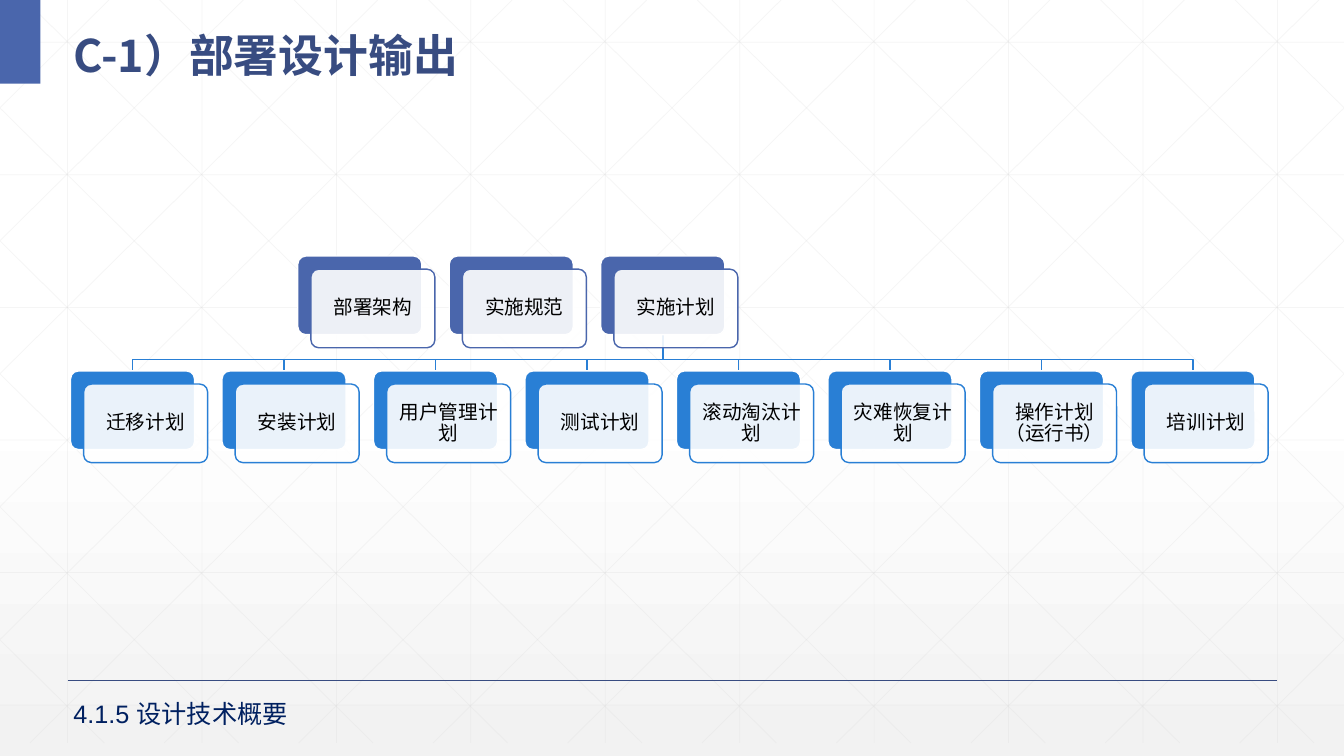
"""Builds the deployment design output slide with its two-tier plan hierarchy."""
from copy import deepcopy
from dataclasses import dataclass

from pptx import Presentation
from pptx.dml.color import RGBColor
from pptx.enum.shapes import MSO_CONNECTOR, MSO_SHAPE
from pptx.enum.text import MSO_ANCHOR, MSO_AUTO_SIZE, PP_ALIGN
from pptx.oxml.ns import qn
from pptx.util import Inches, Pt
from lxml import etree

COLORS = {
    "white": "FFFFFF", "mist": "F2F2F2", "grid": "D9D9D9", "black": "000000",
    "indigo": "4A66AC", "navy": "384C81", "blue": "297FD5", "ink": "002060",
}
SLIDE_W, SLIDE_H = 13.33, 7.5
GRID_H, GRID_STEP_X, GRID_STEP_Y = 7.37, 4 / 3, 1.315
DIAGONAL_W, DIAGONAL_X = 7.45, 0.25
CARD_W, CARD_H, CARD_STEP, CARD_OFFSET = 1.23, 0.78, 1.5025, 0.13
TOP_Y, BOTTOM_Y, FIRST_X = 2.54, 3.68, 0.7
BUS_Y = 3.57


@dataclass
class Card:
    label: str
    column: float
    y: float
    color: str

    @property
    def x(self) -> float:
        return FIRST_X + self.column * CARD_STEP

    @property
    def center(self) -> float:
        return self.x + CARD_W / 2


@dataclass
class Caption:
    text: str
    x: float
    y: float
    w: float
    h: float
    size: int
    font: str
    color: str
    bold: bool = False
    spacing: float = 1.0
    anchor: MSO_ANCHOR = MSO_ANCHOR.TOP
    auto_size: MSO_AUTO_SIZE = MSO_AUTO_SIZE.NONE


TOP_CARDS = [Card(label, 1.5 + i, TOP_Y, "indigo")
             for i, label in enumerate(["部署架构", "实施规范", "实施计划"])]
PLAN_CARDS = [Card(label, i, BOTTOM_Y, "blue") for i, label in enumerate([
    "迁移计划", "安装计划", "用户管理计划", "测试计划",
    "滚动淘汰计划", "灾难恢复计划", "操作计划（运行书）", "培训计划"])]
CAPTIONS = [
    Caption("C-1）部署设计输出", 0.63, 0.1, 12.42, 0.73, 32, "Noto Sans CJK SC", "navy",
            bold=True, spacing=1.3, anchor=MSO_ANCHOR.MIDDLE),
    Caption("4.1.5 设计技术概要", 0.63, 6.88, 3.53, 0.4, 18, "Arial", "ink",
            auto_size=MSO_AUTO_SIZE.SHAPE_TO_FIT_TEXT),
]


def rgb(name: str) -> RGBColor:
    return RGBColor.from_string(COLORS[name])


def set_alpha(fill_parent, percent: int) -> None:
    color = next(fill_parent.iter(qn("a:srgbClr")))
    etree.SubElement(color, qn("a:alpha")).set("val", str(percent * 1000))


def write(tf, text: str, size: int, font: str, color: str, bold: bool = False) -> None:
    p = tf.paragraphs[0]
    r = p.add_run()
    r.text = text
    p.font.size, p.font.name, p.font.bold = Pt(size), font, bold
    p.font.color.rgb = rgb(color)
    latin = p.font._element.find(qn("a:latin"))
    east_asian = etree.Element(qn("a:ea"), typeface=font)
    latin.addnext(east_asian)


def add_line(s, x1: float, y1: float, x2: float, y2: float,
             color: str, width: float, alpha: int = 100) -> None:
    line = s.shapes.add_connector(MSO_CONNECTOR.STRAIGHT, Inches(x1), Inches(y1),
                                  Inches(x2), Inches(y2))
    line.line.color.rgb = rgb(color)
    line.line.width = Pt(width)
    sp_pr = line._element.spPr
    if alpha < 100:
        set_alpha(sp_pr, alpha)
    etree.SubElement(sp_pr, qn("a:effectLst"))


def add_background(s) -> None:
    fill = s.background.fill
    fill.gradient()
    fill.gradient_angle = 270
    first, last = fill.gradient_stops
    first.color.rgb, first.position = rgb("white"), 0
    last.color.rgb, last.position = rgb("mist"), 1
    middle = deepcopy(first._gs)
    middle.set("pos", "53000")
    first._gs.addnext(middle)


def add_grid(s) -> None:
    style = ("grid", 0.5, 25)
    for i in range(10):
        x = 0.67 + i * GRID_STEP_X
        add_line(s, x, 0, x, GRID_H, *style)
    for i in range(6):
        y = 0.42 + i * GRID_STEP_Y
        add_line(s, 0, y, SLIDE_W, y, *style)
    slope = GRID_H / DIAGONAL_W
    for i in range(-5, 10):
        start = DIAGONAL_X + i * GRID_STEP_X
        x1, x2 = max(start, 0), min(start + DIAGONAL_W, SLIDE_W)
        y1, y2 = (x1 - start) * slope, (x2 - start) * slope
        add_line(s, x1, y1, x2, y2, *style)
        add_line(s, SLIDE_W - x1, y1, SLIDE_W - x2, y2, *style)


def add_box(s, shape: MSO_SHAPE, x: float, y: float, w: float, h: float, fill: str):
    sp = s.shapes.add_shape(shape, Inches(x), Inches(y), Inches(w), Inches(h))
    sp.shadow.inherit = False
    sp.fill.solid()
    sp.fill.fore_color.rgb = rgb(fill)
    sp.line.fill.background()
    return sp


def add_card_layer(s, card: Card, offset: float, fill: str, outline: str):
    sp = add_box(s, MSO_SHAPE.ROUNDED_RECTANGLE, card.x + offset, card.y + offset,
                 CARD_W, CARD_H, fill)
    sp.adjustments[0] = 0.1
    sp.line.color.rgb = rgb(outline)
    sp.line.width = Pt(1)
    return sp


def add_card(s, card: Card) -> None:
    add_card_layer(s, card, 0, card.color, "white")
    panel = add_card_layer(s, card, CARD_OFFSET, "white", card.color)
    set_alpha(panel._element.spPr.find(qn("a:solidFill")), 90)
    tf = panel.text_frame
    tf.word_wrap = True
    tf.vertical_anchor = MSO_ANCHOR.MIDDLE
    tf.margin_left = tf.margin_right = tf.margin_top = tf.margin_bottom = Inches(0.08)
    p = tf.paragraphs[0]
    p.alignment, p.line_spacing = PP_ALIGN.CENTER, 0.9
    write(tf, card.label, 14, "Arial", "black")


def add_branch(s, parent: Card, child: Card) -> None:
    builder = s.shapes.build_freeform(Inches(parent.center), Inches(parent.y + CARD_H))
    builder.add_line_segments([(Inches(parent.center), Inches(BUS_Y)),
                               (Inches(child.center), Inches(BUS_Y)),
                               (Inches(child.center), Inches(child.y))], close=False)
    sp = builder.convert_to_shape()
    sp.shadow.inherit = False
    sp.fill.background()
    sp.line.color.rgb = rgb(child.color)
    sp.line.width = Pt(1)


def add_caption(s, caption: Caption) -> None:
    sp = s.shapes.add_textbox(Inches(caption.x), Inches(caption.y),
                              Inches(caption.w), Inches(caption.h))
    tf = sp.text_frame
    tf.word_wrap = True
    tf.auto_size = caption.auto_size
    tf.vertical_anchor = caption.anchor
    tf.paragraphs[0].line_spacing = caption.spacing
    write(tf, caption.text, caption.size, caption.font, caption.color, caption.bold)


def main() -> None:
    prs = Presentation()
    prs.slide_width, prs.slide_height = Inches(SLIDE_W), Inches(SLIDE_H)
    s = prs.slides.add_slide(prs.slide_layouts[6])
    add_background(s)
    add_grid(s)
    add_line(s, 0.67, 6.75, 12.67, 6.75, "navy", 1)
    add_box(s, MSO_SHAPE.RECTANGLE, 0, 0, 0.4, 0.83, "indigo")
    for plan in PLAN_CARDS:
        add_branch(s, TOP_CARDS[-1], plan)
    for card in TOP_CARDS + PLAN_CARDS:
        add_card(s, card)
    for caption in CAPTIONS:
        add_caption(s, caption)
    prs.save("out.pptx")


if __name__ == "__main__":
    main()
